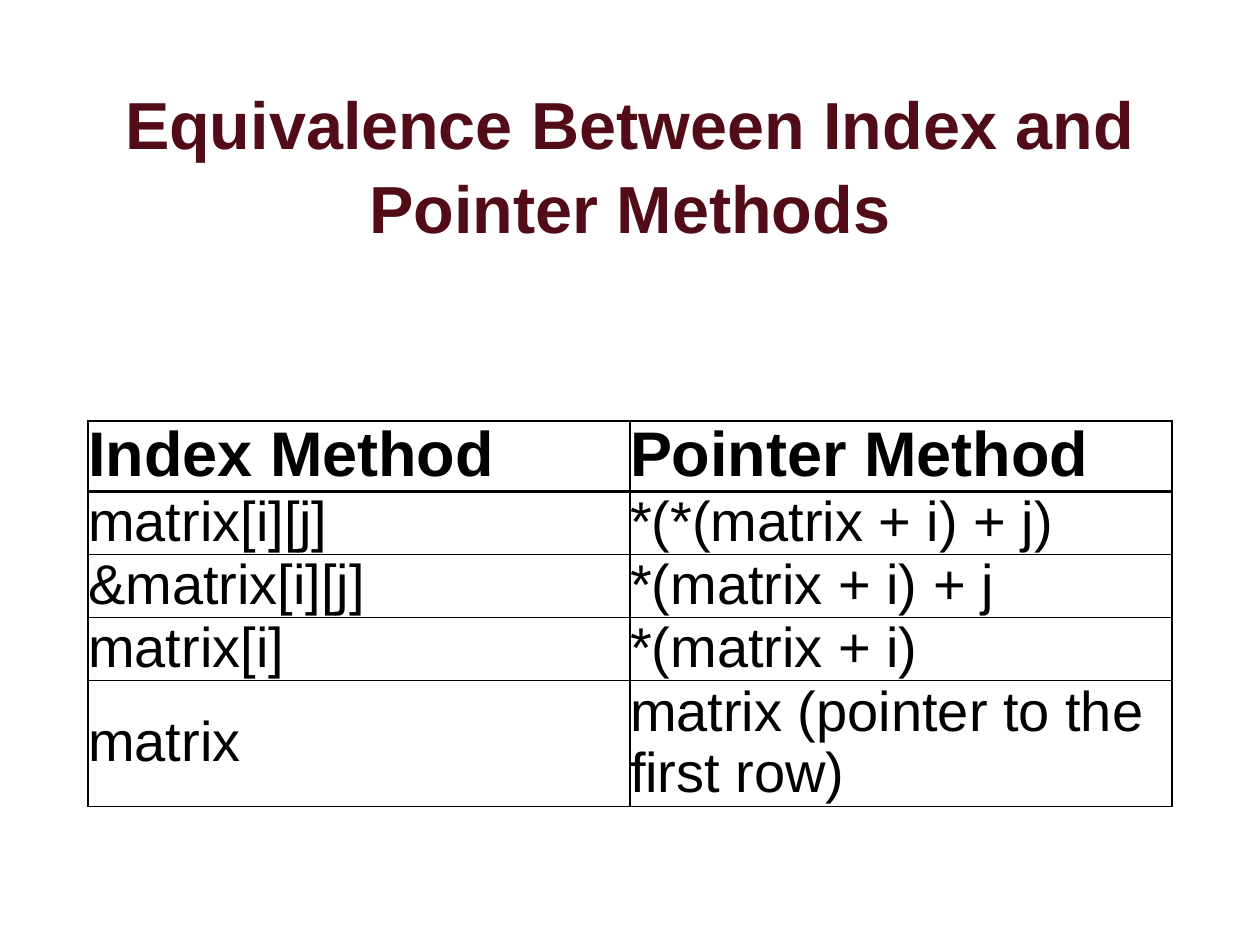
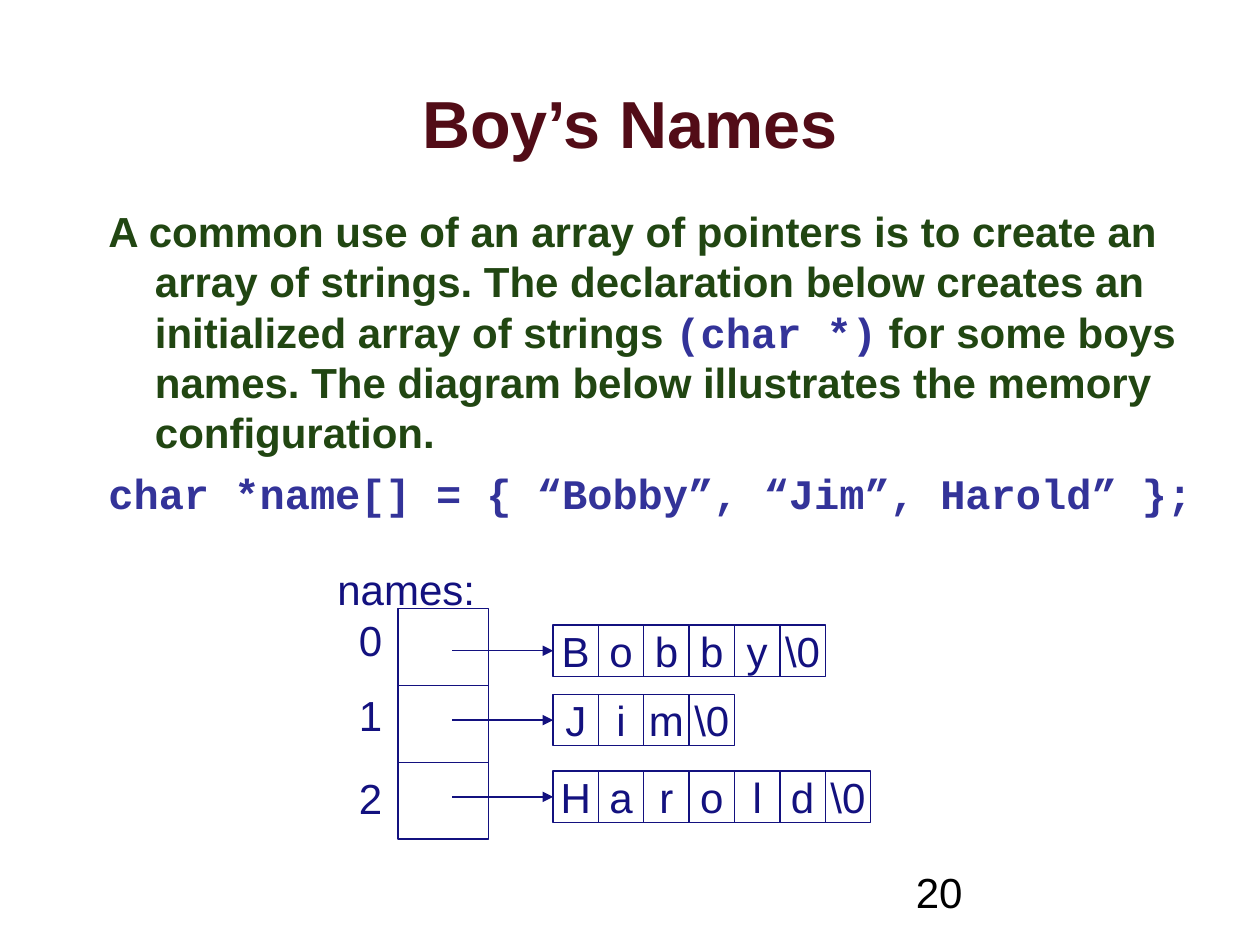
from lxml import etree
from pptx import Presentation
from pptx.dml.color import RGBColor
from pptx.enum.shapes import MSO_CONNECTOR, MSO_SHAPE
from pptx.enum.text import MSO_ANCHOR, MSO_AUTO_SIZE, PP_ALIGN
from pptx.oxml.ns import qn
from pptx.util import Inches, Pt

RECT, STRAIGHT = MSO_SHAPE.RECTANGLE, MSO_CONNECTOR.STRAIGHT
TOP, MIDDLE = MSO_ANCHOR.TOP, MSO_ANCHOR.MIDDLE
LEFT, CENTER = PP_ALIGN.LEFT, PP_ALIGN.CENTER
NO_FIT = MSO_AUTO_SIZE.NONE
CONTENT_LAYOUT, TITLE_LAYOUT = 1, 5

# Shared style
SANS, MONO = "Arial", "Courier New"
MAROON, GREEN, INDIGO, NAVY, BLACK = "520C17", "214612", "333399", "13117F", "000000"

# Content
TABLE_TITLE = "Equivalence Between Index and Pointer Methods"
METHODS = [
    ("Index Method", "Pointer Method"),
    ("matrix[i][j]", "*(*(matrix + i) + j)"),
    ("&matrix[i][j]", "*(matrix + i) + j"),
    ("matrix[i]", "*(matrix + i)"),
    ("matrix", "matrix (pointer to the first row)"),
]
ROW_HEIGHTS = (0.56, 0.5, 0.5, 0.5, 1)

NAMES_TITLE = "Boy’s Names"
PROSE, CODE = {"color": GREEN}, {"color": INDIGO, "font": MONO}
NAMES_BODY = [
    [("A common use of an array of pointers is to create an array of strings. "
      "The declaration below creates an initialized array of strings ", PROSE),
     ("(char *)", CODE),
     (" for some boys names. The diagram below illustrates the memory "
      "configuration.", PROSE)],
    [("char *name[] = { “Bobby”, “Jim”, Harold” };", CODE)],
]
# Name, top of its index label, top of its letter cells
NAMES = [("Bobby", 4.83, 4.96), ("Jim", 5.42, 5.51), ("Harold", 6.08, 6.12)]
PAGE_NUMBER = "20"


def rgb(color):
    return RGBColor.from_string(color)


def add_run(p, text, size=24, color=NAVY, font=SANS, bold=False):
    r = p.add_run()
    r.text = text
    r.font.size, r.font.name, r.font.bold = Pt(size), font, bold
    r.font.color.rgb = rgb(color)


def write(tf, text, align=LEFT, anchor=TOP, wrap=True, spacing=1, **style):
    tf.word_wrap, tf.vertical_anchor = wrap, anchor
    p = tf.paragraphs[0]
    p.alignment, p.line_spacing = align, spacing
    add_run(p, text, **style)


def place(sp, left, top, width, height):
    sp.left, sp.top = Inches(left), Inches(top)
    sp.width, sp.height = Inches(width), Inches(height)


def add_slide(prs, layout, title, top):
    s = prs.slides.add_slide(prs.slide_layouts[layout])
    sp = s.shapes.title
    place(sp, 0.75, top, 8.5, 1.25)
    sp.text_frame.auto_size = NO_FIT
    write(sp.text_frame, title, CENTER, MIDDLE, spacing=1.05,
          size=38, color=MAROON, bold=True)
    return s


def add_label(s, text, left, top, width, **style):
    sp = s.shapes.add_textbox(*map(Inches, (left, top, width, 0.5)))
    write(sp.text_frame, text, **style)


def add_box(s, left, top, width, height, text=""):
    sp = s.shapes.add_shape(RECT, *map(Inches, (left, top, width, height)))
    sp.shadow.inherit = False
    sp.fill.background()
    sp.line.color.rgb, sp.line.width = rgb(NAVY), Pt(0.75)
    if text:
        write(sp.text_frame, text, CENTER, MIDDLE, wrap=False)


def add_arrow(s, x1, x2, y):
    line = s.shapes.add_connector(STRAIGHT, *map(Inches, (x1, y, x2, y)))
    line.line.color.rgb, line.line.width = rgb(NAVY), Pt(0.75)
    etree.SubElement(line.line._get_or_add_ln(), qn("a:tailEnd"), type="triangle")
    etree.SubElement(line._element.spPr, qn("a:effectLst"))


def set_borders(cell, bottom, top):
    props = cell._tc.get_or_add_tcPr()
    widths = (("lnL", 1), ("lnR", 1), ("lnT", top), ("lnB", bottom))
    for i, (side, width) in enumerate(widths):
        ln = etree.Element(qn("a:" + side), w=str(Pt(width)))
        fill = etree.SubElement(ln, qn("a:solidFill"))
        etree.SubElement(fill, qn("a:srgbClr"), val=BLACK)
        props.insert(i, ln)


def build_methods(prs):
    s = add_slide(prs, TITLE_LAYOUT, TABLE_TITLE, 0.67)
    frame = s.shapes.add_table(
        len(METHODS), 2, *map(Inches, (0.7, 3.34, 8.6, sum(ROW_HEIGHTS))))
    table = frame.table
    table.horz_banding = table.first_row = False
    for i, (row, height) in enumerate(zip(METHODS, ROW_HEIGHTS)):
        table.rows[i].height = Inches(height)
        header = i == 0
        for j, text in enumerate(row):
            cell = table.cell(i, j)
            cell.margin_left = cell.margin_right = 0
            cell.margin_top = cell.margin_bottom = 0
            cell.vertical_anchor = MIDDLE
            cell.fill.background()
            p = cell.text_frame.paragraphs[0]
            p.line_spacing = 0.97
            add_run(p, text, size=36 if header else 32, color=BLACK, bold=header)
            set_borders(cell, bottom=2 if header else 1, top=2 if i == 1 else 1)


def build_names(prs):
    s = add_slide(prs, CONTENT_LAYOUT, NAMES_TITLE, 0.33)

    # Explanation and declaration
    body = s.placeholders[1]
    place(body, 0.75, 1.58, 8.83, 3.07)
    tf = body.text_frame
    tf.auto_size = NO_FIT
    for i, parts in enumerate(NAMES_BODY):
        p = tf.add_paragraph() if i else tf.paragraphs[0]
        p.space_before = Pt(6)
        props = p._p.get_or_add_pPr()
        props.set("marL", str(Inches(0.38)))
        props.set("indent", str(Inches(-0.37)))
        etree.SubElement(props, qn("a:buNone"))
        for text, style in parts:
            add_run(p, text, bold=True, **style)

    # Array of pointers, each leading to its string
    add_label(s, "names:", 2.58, 4.42, 1.44)
    slot_height, cell_width, cell_height, cells_left = 0.61, 0.36, 0.41, 4.39
    for i, (name, label_top, cell_top) in enumerate(NAMES):
        add_label(s, str(i), 2.75, label_top, 0.42)
        add_box(s, 3.16, 4.83 + i * slot_height, 0.72, slot_height)
        for j, char in enumerate([*name, r"\0"]):
            add_box(s, cells_left + j * cell_width, cell_top,
                    cell_width, cell_height, char)
        add_arrow(s, 3.59, cells_left, cell_top + cell_height / 2)

    add_label(s, PAGE_NUMBER, 7.17, 6.83, 2.08, color=BLACK)


def main():
    prs = Presentation()
    prs.slide_width, prs.slide_height = Inches(10), Inches(7.5)
    build_methods(prs)
    build_names(prs)
    prs.save("out.pptx")


if __name__ == "__main__":
    main()
